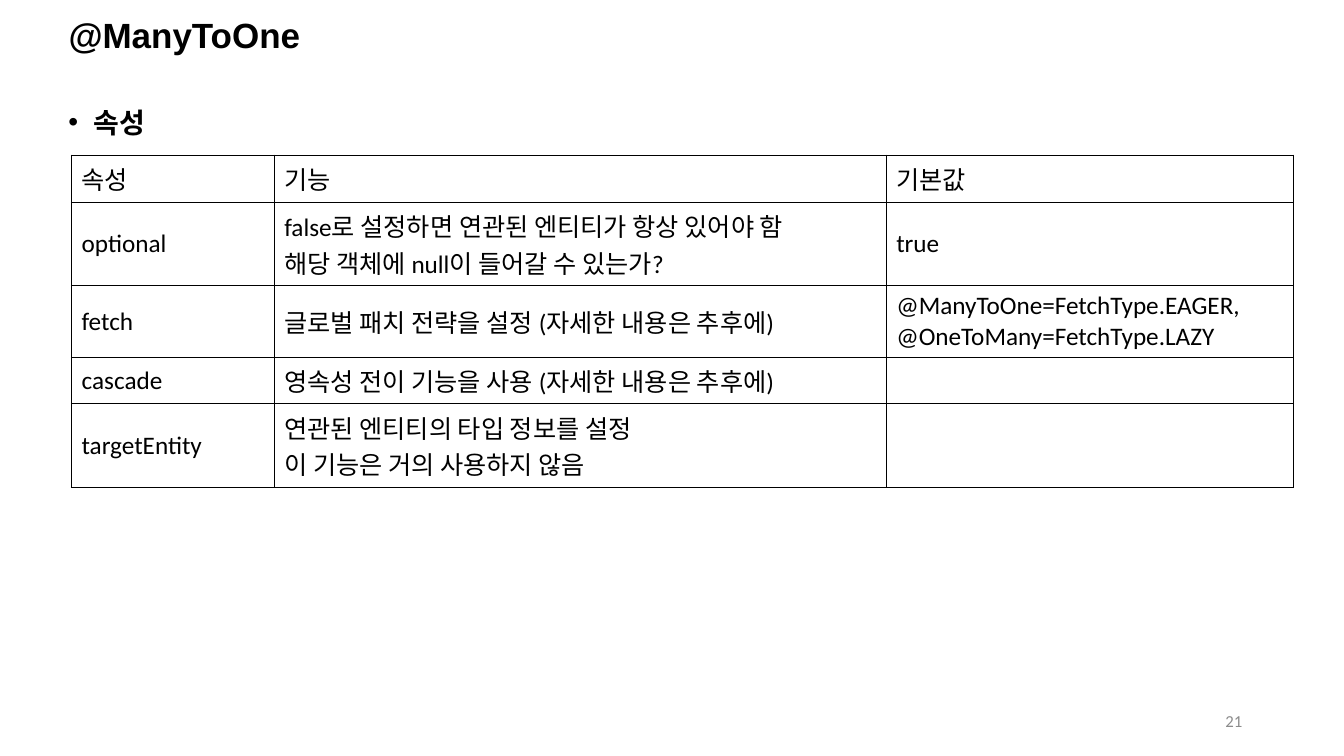
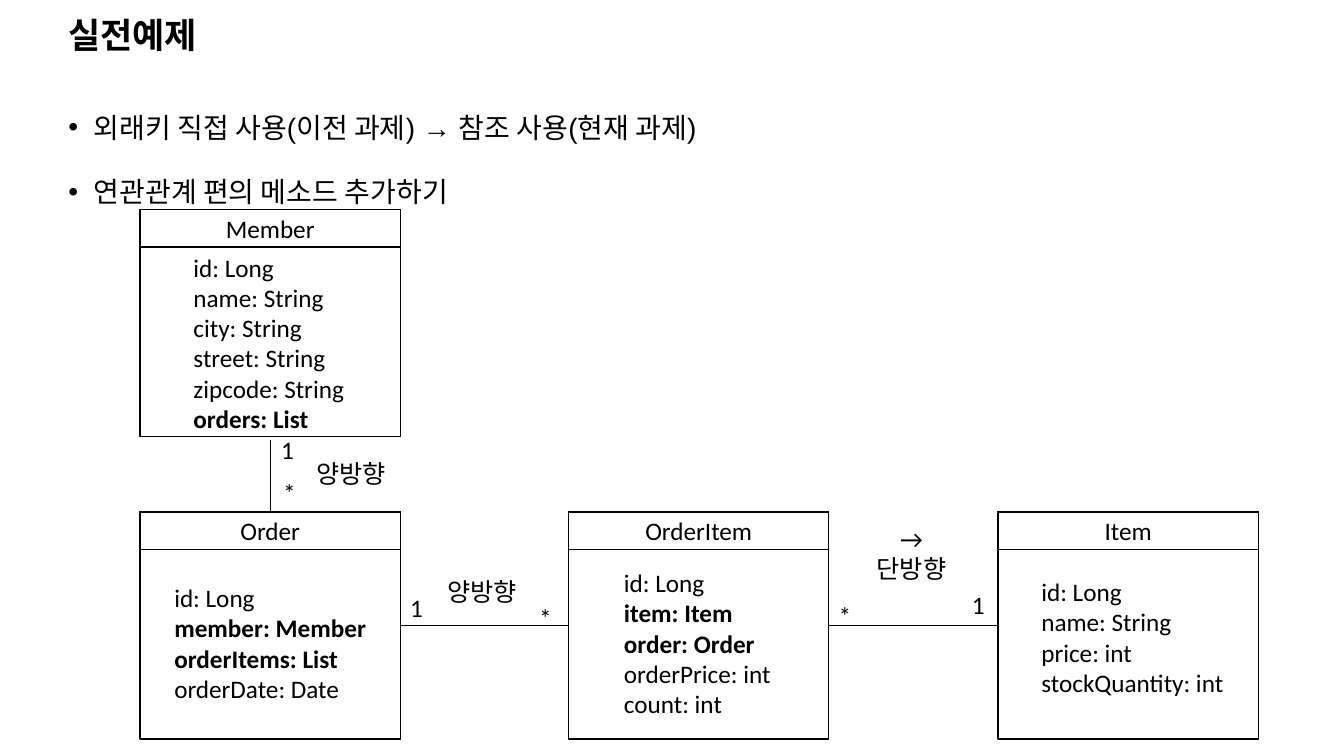
from dataclasses import dataclass
from typing import Any

from lxml import etree
from pptx import Presentation
from pptx.dml.color import RGBColor
from pptx.enum.shapes import MSO_CONNECTOR, MSO_SHAPE
from pptx.enum.text import MSO_ANCHOR, MSO_AUTO_SIZE, PP_ALIGN
from pptx.oxml.ns import qn
from pptx.util import Emu, Pt

RECT = MSO_SHAPE.RECTANGLE
LINE = MSO_CONNECTOR.STRAIGHT
TOP, MID = MSO_ANCHOR.TOP, MSO_ANCHOR.MIDDLE
FIXED, GROW = MSO_AUTO_SIZE.NONE, MSO_AUTO_SIZE.SHAPE_TO_FIT_TEXT
LEFT, MIDST, RIGHT = PP_ALIGN.LEFT, PP_ALIGN.CENTER, PP_ALIGN.RIGHT

BLACK = RGBColor(0x00, 0x00, 0x00)
GRAY = RGBColor(0x8C, 0x8C, 0x8C)
HEAD = "Arial"
BODY = "Calibri"
SCALE = 9144
CARD_W, CARD_H, BAR_H = 258, 225, 37
LABEL_H = 40


def px(num: int) -> Emu:
    return Emu(num * SCALE)


@dataclass(frozen=True)
class Box:
    x: int
    y: int
    w: int
    h: int

    def emu(self) -> tuple[Emu, Emu, Emu, Emu]:
        return px(self.x), px(self.y), px(self.w), px(self.h)


@dataclass(frozen=True)
class Card:
    name: str
    x: int
    y: int
    area: Box
    lines: tuple[str, ...]
    strong: tuple[str, ...] = ()


@dataclass(frozen=True)
class Label:
    text: str
    box: Box


@dataclass(frozen=True)
class Link:
    x1: int
    y1: int
    x2: int
    y2: int


TITLE = Box(58, 18, 1150, 38)
PAGE = Box(942, 695, 300, 40)
GRID = Box(71, 154, 1212, 329)
COLS = (201, 607, 404)
ROWS = (47, 82, 71, 46, 83)
CELLS = (
    ("속성", "기능", "기본값"),
    ("optional",
     "false로 설정하면 연관된 엔티티가 항상 있어야 함\n해당 객체에 null이 들어갈 수 있는가?",
     "true"),
    ("fetch", "글로벌 패치 전략을 설정 (자세한 내용은 추후에)",
     "@ManyToOne=FetchType.EAGER, @OneToMany=FetchType.LAZY"),
    ("cascade", "영속성 전이 기능을 사용 (자세한 내용은 추후에)", ""),
    ("targetEntity", "연관된 엔티티의 타입 정보를 설정\n이 기능은 거의 사용하지 않음", ""),
)
CARDS = (
    Card("Member", 139, 208, Box(182, 245, 171, 192),
         ("id: Long", "name: String", "city: String", "street: String",
          "zipcode: String", "orders: List"), ("orders: List",)),
    Card("Order", 139, 508, Box(163, 573, 212, 131),
         ("id: Long", "member: Member", "orderItems: List", "orderDate: Date"),
         ("member: Member", "orderItems: List")),
    Card("OrderItem", 564, 508, Box(609, 558, 167, 162),
         ("id: Long", "item: Item", "order: Order", "orderPrice: int", "count: int"),
         ("item: Item", "order: Order")),
    Card("Item", 990, 508, Box(1023, 567, 203, 131),
         ("id: Long", "name: String", "price: int", "stockQuantity: int")),
)
LINKS = (
    Link(268, 437, 268, 508),
    Link(397, 620, 564, 620),
    Link(822, 620, 990, 620),
)
LABELS = (
    Label("1", Box(269, 426, 33, LABEL_H)),
    Label("*", Box(271, 469, 33, LABEL_H)),
    Label("*", Box(525, 593, 33, LABEL_H)),
    Label("1", Box(954, 580, 33, LABEL_H)),
    Label("1", Box(397, 583, 33, LABEL_H)),
    Label("*", Box(822, 591, 33, LABEL_H)),
    Label("→\n단방향", Box(856, 514, 96, 71)),
    Label("양방향", Box(304, 450, 96, LABEL_H)),
    Label("양방향", Box(434, 567, 96, LABEL_H)),
)


def put(frame: Any, text: str, *, size: int = 18, face: str = BODY,
        color: RGBColor = BLACK, bold: bool = False, strong: tuple[str, ...] = (),
        align: Any = LEFT, lead: float = 1.0, gap: int = 0,
        bullet: bool = False) -> None:
    for num, line in enumerate(text.split("\n")):
        para = frame.add_paragraph() if num else frame.paragraphs[0]
        if bullet:
            prop = para._p.get_or_add_pPr()
            prop.set("marL", str(px(25)))
            prop.set("indent", str(-px(25)))
            font = etree.SubElement(prop, qn("a:buFont"))
            font.set("typeface", HEAD)
            etree.SubElement(prop, qn("a:buChar")).set("char", "•")
        para.alignment = align
        para.line_spacing = lead
        para.space_before = Pt(gap if num else 0)
        run = para.add_run()
        run.text = line
        run.font.size = Pt(size)
        run.font.name = face
        run.font.bold = bold or line in strong
        run.font.color.rgb = color


def add_text(slide: Any, box: Box, text: str, *, wrap: bool = False,
             anchor: Any = TOP, **form: Any) -> None:
    frame = slide.shapes.add_textbox(*box.emu()).text_frame
    frame.word_wrap = wrap
    frame.auto_size = FIXED if wrap else GROW
    frame.vertical_anchor = anchor
    put(frame, text, **form)


def add_slide(deck: Any, name: str) -> Any:
    slide = deck.slides.add_slide(deck.slide_layouts[5])
    title = slide.shapes.title
    title.left, title.top, title.width, title.height = TITLE.emu()
    frame = title.text_frame
    frame.word_wrap = True
    frame.auto_size = FIXED
    frame.vertical_anchor = MID
    put(frame, name, size=25, face=HEAD, bold=True, lead=0.9)
    return slide


def add_list(slide: Any, top: int, text: str, *, bold: bool = False) -> None:
    add_text(slide, Box(58, top, 1239, 644), text, wrap=True, size=20, face=HEAD,
             bold=bold, lead=1.5, gap=10, bullet=True)


def add_edge(cell: Any) -> None:
    prop = cell._tc.get_or_add_tcPr()
    for num, side in enumerate(("lnL", "lnR", "lnT", "lnB")):
        edge = etree.Element(qn(f"a:{side}"), w=str(Pt(1)))
        fill = etree.SubElement(edge, qn("a:solidFill"))
        etree.SubElement(fill, qn("a:srgbClr"), val=str(BLACK))
        prop.insert(num, edge)


def add_grid(slide: Any) -> None:
    table = slide.shapes.add_table(len(ROWS), len(COLS), *GRID.emu()).table
    table.first_row = False
    table.horz_banding = False
    for col, wide in zip(table.columns, COLS):
        col.width = px(wide)
    for row, high, texts in zip(table.rows, ROWS, CELLS):
        row.height = px(high)
        for cell, text in zip(row.cells, texts):
            cell.fill.background()
            cell.vertical_anchor = MID
            add_edge(cell)
            if text:
                put(cell.text_frame, text)


def add_rect(slide: Any, box: Box) -> Any:
    shape = slide.shapes.add_shape(RECT, *box.emu())
    shape.shadow.inherit = False
    shape.fill.background()
    shape.line.color.rgb = BLACK
    shape.line.width = Pt(1)
    return shape


def add_card(slide: Any, card: Card) -> None:
    add_rect(slide, Box(card.x, card.y, CARD_W, CARD_H))
    bar = add_rect(slide, Box(card.x, card.y, CARD_W, BAR_H))
    bar.text_frame.vertical_anchor = MID
    put(bar.text_frame, card.name, align=MIDST)
    add_text(slide, card.area, "\n".join(card.lines), strong=card.strong)


def add_link(slide: Any, link: Link) -> None:
    line = slide.shapes.add_connector(
        LINE, px(link.x1), px(link.y1), px(link.x2), px(link.y2))
    line.line.color.rgb = BLACK
    line.line.width = Pt(0.5)
    etree.SubElement(line._element.spPr, qn("a:effectLst"))


def main() -> None:
    deck = Presentation()
    deck.slide_width, deck.slide_height = px(1333), px(750)

    slide = add_slide(deck, "@ManyToOne")
    add_list(slide, 83, "속성", bold=True)
    add_text(slide, PAGE, "21", wrap=True, anchor=MID, size=12, color=GRAY, align=RIGHT)
    add_grid(slide)

    slide = add_slide(deck, "실전예제")
    add_list(slide, 88, "외래키 직접 사용(이전 과제) → 참조 사용(현재 과제)\n연관관계 편의 메소드 추가하기")
    for card in CARDS:
        add_card(slide, card)
    for link in LINKS:
        add_link(slide, link)
    for label in LABELS:
        align = MIDST if "\n" in label.text else LEFT
        add_text(slide, label.box, label.text, align=align)

    deck.save("out.pptx")


if __name__ == "__main__":
    main()
